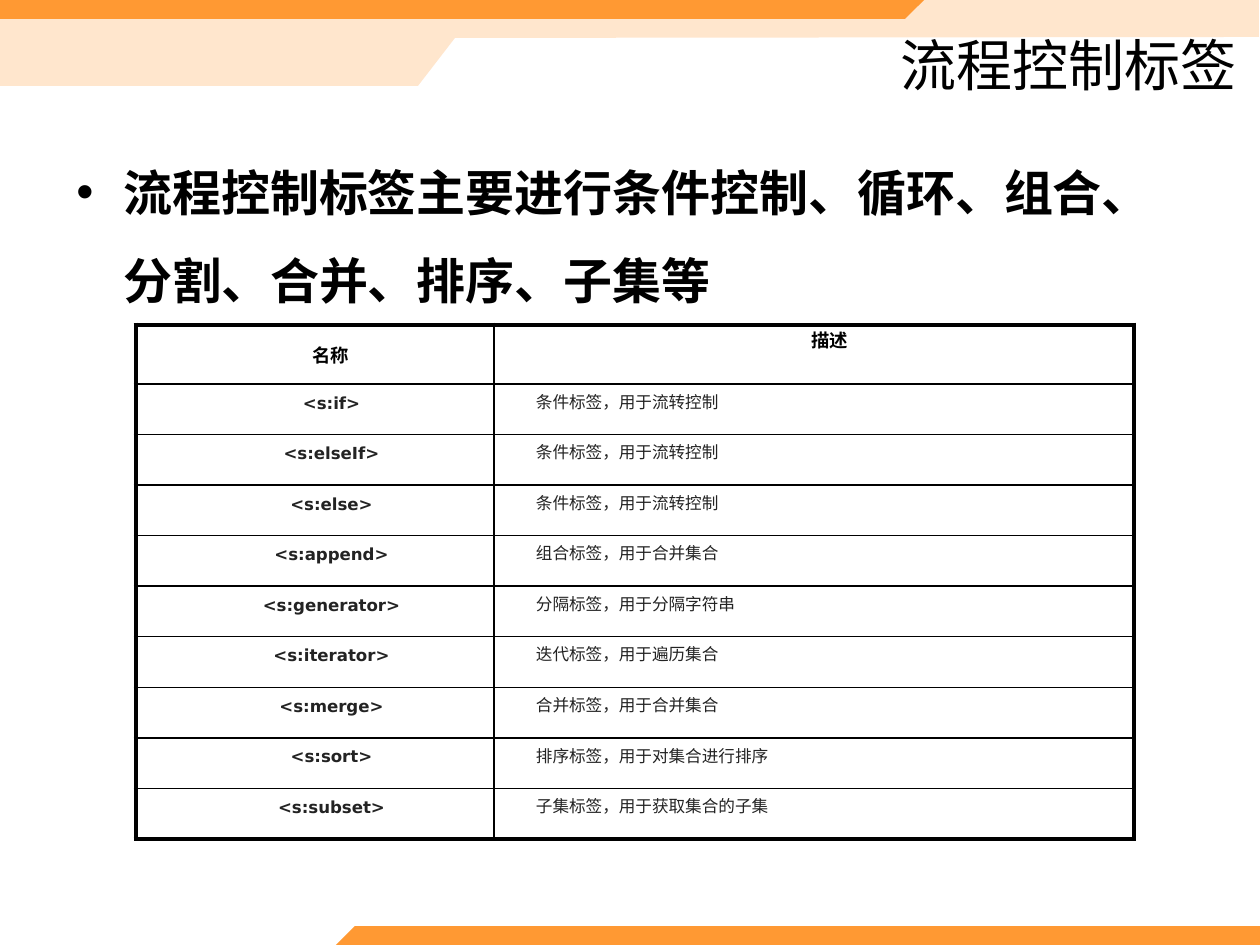
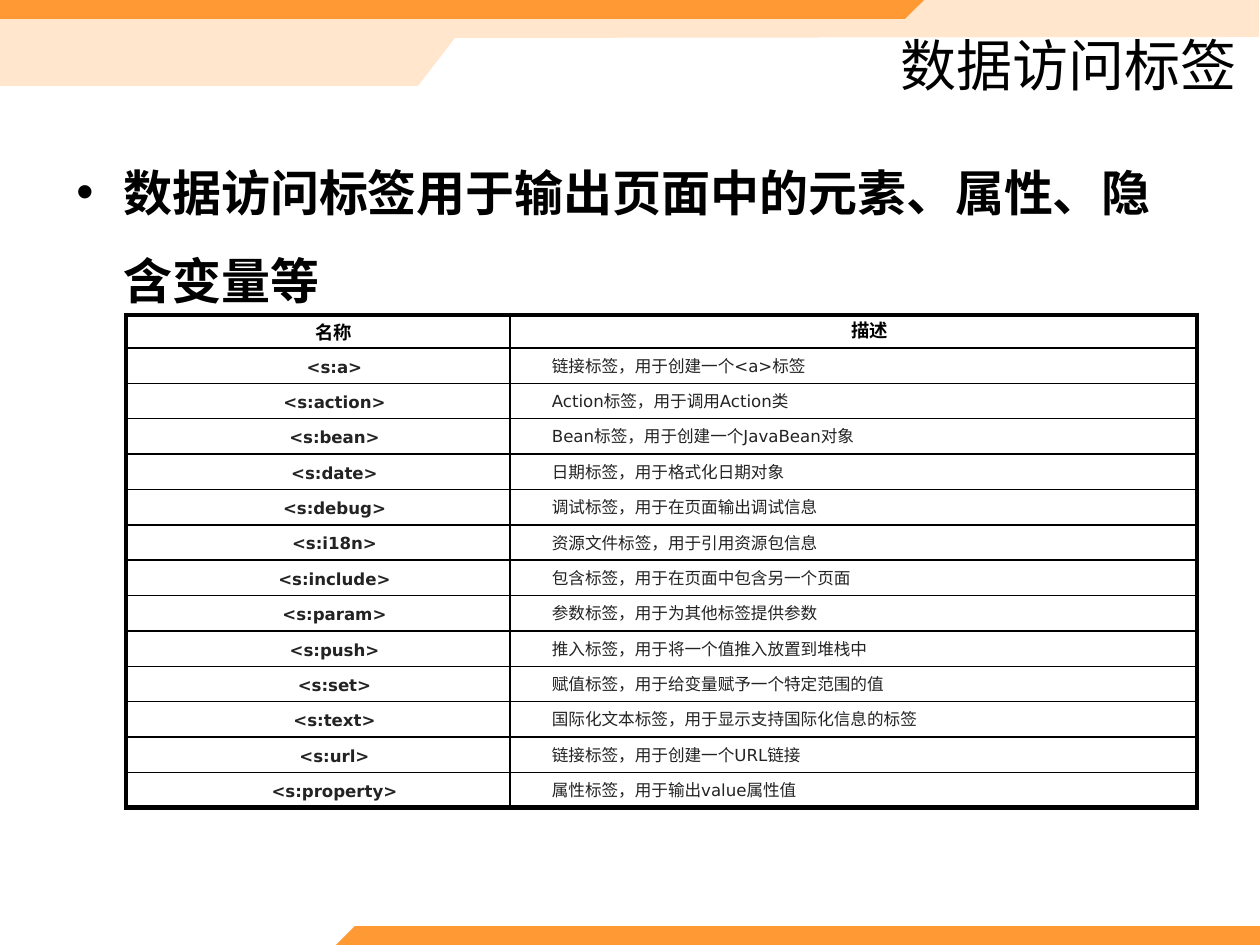
from lxml.etree import SubElement
from pptx import Presentation
from pptx.dml.color import RGBColor
from pptx.enum.text import MSO_ANCHOR, PP_ALIGN
from pptx.oxml.ns import qn
from pptx.util import Pt

PX = 914400 / 126
WIDE, HIGH = 1260, 945
BLACK, GRAY, ORANGE, PEACH = "000000", "232323", "FF9933", "FFE6CD"
THIN, THICK = 1, 3

BANDS = [
    (PEACH, [(1259, 0), (0, 0), (0, 86), (418, 86), (455, 38), (1259, 37)]),
    (ORANGE, [(924, 0), (905, 19), (0, 19), (0, 0)]),
    (ORANGE, [(336, HIGH), (355, 926), (WIDE, 926), (WIDE, HIGH)]),
]
TITLE = (512, 35, 737, 59)
BODY = (64, 127, 1134, 713)
HEADS = ("名称", "描述")

PAGES = [
    {
        "title": "流程控制标签",
        "body": "流程控制标签主要进行条件控制、循环、组合、分割、合并、排序、子集等",
        "at": (136, 325), "cols": (358, 640), "head": 59, "high": 514,
        "tags": [
            ("if", "条件标签，用于流转控制"),
            ("elseIf", "条件标签，用于流转控制"),
            ("else", "条件标签，用于流转控制"),
            ("append", "组合标签，用于合并集合"),
            ("generator", "分隔标签，用于分隔字符串"),
            ("iterator", "迭代标签，用于遍历集合"),
            ("merge", "合并标签，用于合并集合"),
            ("sort", "排序标签，用于对集合进行排序"),
            ("subset", "子集标签，用于获取集合的子集"),
        ],
    },
    {
        "title": "数据访问标签",
        "body": "数据访问标签用于输出页面中的元素、属性、隐含变量等",
        "at": (126, 315), "cols": (384, 687), "head": 33, "high": 493,
        "tags": [
            ("a", "链接标签，用于创建一个<a>标签"),
            ("action", "Action标签，用于调用Action类"),
            ("bean", "Bean标签，用于创建一个JavaBean对象"),
            ("date", "日期标签，用于格式化日期对象"),
            ("debug", "调试标签，用于在页面输出调试信息"),
            ("i18n", "资源文件标签，用于引用资源包信息"),
            ("include", "包含标签，用于在页面中包含另一个页面"),
            ("param", "参数标签，用于为其他标签提供参数"),
            ("push", "推入标签，用于将一个值推入放置到堆栈中"),
            ("set", "赋值标签，用于给变量赋予一个特定范围的值"),
            ("text", "国际化文本标签，用于显示支持国际化信息的标签"),
            ("url", "链接标签，用于创建一个URL链接"),
            ("property", "属性标签，用于输出value属性值"),
        ],
    },
]


def emu(*sizes):
    return [round(size * PX) for size in sizes]


def color(code):
    return RGBColor.from_string(code)


def style(para, size, face, code=BLACK, bold=False):
    for run in para.runs:
        font = run.font
        font.size, font.name, font.bold = Pt(size), face, bold
        font.color.rgb = color(code)


def indent(para, left, first):
    props = para._p.get_or_add_pPr()
    left, first = emu(left, first)
    props.set("marL", str(left))
    props.set("indent", str(first))
    return props


def draw_bands(slide):
    for code, points in BANDS:
        path = slide.shapes.build_freeform(*points[0], scale=PX)
        path.add_line_segments(points[1:], close=True)
        band = path.convert_to_shape()
        band.shadow.inherit = False
        band.fill.solid()
        band.fill.fore_color.rgb = color(code)
        band.line.fill.background()


def add_text(slide, box, text, size, bold=False):
    frame = slide.shapes.add_textbox(*emu(*box)).text_frame
    frame.word_wrap = True
    frame.text = text
    para = frame.paragraphs[0]
    style(para, size, "Calibri", bold=bold)
    return frame, para


def add_title(slide, text):
    frame, para = add_text(slide, TITLE, text, 32)
    frame.vertical_anchor = MSO_ANCHOR.MIDDLE
    para.alignment = PP_ALIGN.RIGHT


def add_body(slide, text):
    para = add_text(slide, BODY, text, 28, True)[1]
    para.line_spacing = 1.5
    props = indent(para, 47, -47)
    gap = SubElement(props, qn("a:spcBef"))
    SubElement(gap, qn("a:spcPct"), val="20000")
    SubElement(props, qn("a:buFont"), typeface="Arial")
    SubElement(props, qn("a:buChar"), char="•")


def set_edges(cell, sides):
    props = cell._tc.get_or_add_tcPr()
    for side, width in sides.items():
        line = SubElement(props, qn("a:ln" + side), w=str(Pt(width)))
        fill = SubElement(line, qn("a:solidFill"))
        SubElement(fill, qn("a:srgbClr"), val=BLACK)


def fill_cell(cell, text, head, name):
    cell.margin_left = cell.margin_right = emu(9)[0]
    cell.margin_top = cell.margin_bottom = 0
    cell.vertical_anchor = MSO_ANCHOR.MIDDLE if head and name else MSO_ANCHOR.TOP
    cell.text_frame.text = text
    para = cell.text_frame.paragraphs[0]
    para.alignment = PP_ALIGN.CENTER if head or name else PP_ALIGN.LEFT
    para.line_spacing = Pt(15.6 if head else 16.6)
    para.space_before = para.space_after = Pt(6)
    indent(para, 0, 32 if head else 33)
    if head:
        style(para, 10.5, "Times New Roman", bold=True)
    else:
        style(para, 9.5, "DejaVu Sans", GRAY, name)


def add_grid(slide, page):
    rows = [HEADS] + [(f"<s:{tag}>", note) for tag, note in page["tags"]]
    cols, last = page["cols"], len(rows) - 1
    box = emu(*page["at"], sum(cols), page["high"])
    grid = slide.shapes.add_table(len(rows), len(cols), *box).table
    grid.first_row = grid.horz_banding = False
    for col, width in zip(grid.columns, emu(*cols)):
        col.width = width
    step = (page["high"] - page["head"]) / last
    for row, high in zip(grid.rows, emu(page["head"], *[step] * last)):
        row.height = high
    for r, row in enumerate(rows):
        for c, text in enumerate(row):
            cell = grid.cell(r, c)
            fill_cell(cell, text, r == 0, c == 0)
            set_edges(cell, {
                "L": THICK if c == 0 else THIN,
                "R": THICK if c == len(cols) - 1 else THIN,
                "T": THICK if r == 0 else THIN,
                "B": THICK if r == last else THIN,
            })
            cell.fill.background()


def main():
    deck = Presentation()
    deck.slide_width, deck.slide_height = emu(WIDE, HIGH)
    for page in PAGES:
        slide = deck.slides.add_slide(deck.slide_layouts[6])
        draw_bands(slide)
        add_title(slide, page["title"])
        add_body(slide, page["body"])
        add_grid(slide, page)
    deck.save("out.pptx")


if __name__ == "__main__":
    main()
